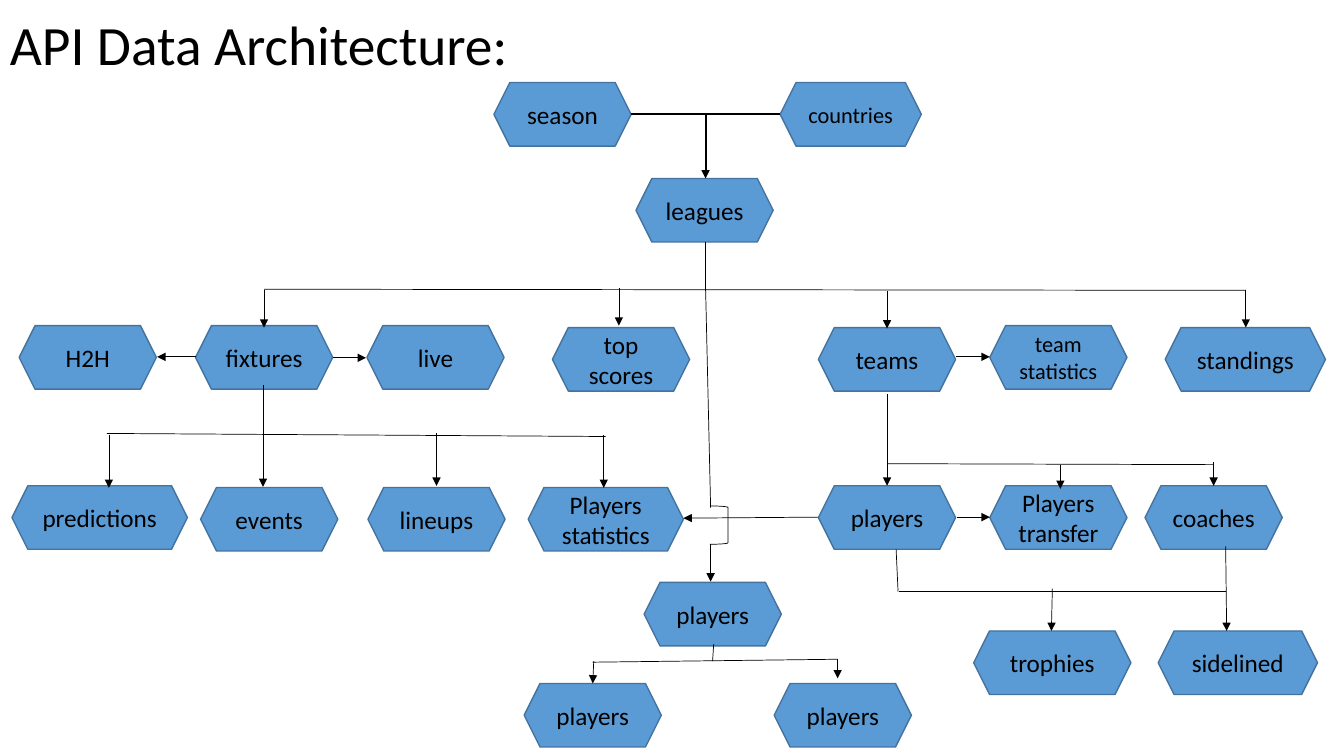
from dataclasses import dataclass

from lxml import etree
from pptx import Presentation
from pptx.dml.color import RGBColor
from pptx.enum.shapes import MSO_CONNECTOR, MSO_SHAPE
from pptx.enum.text import MSO_ANCHOR, PP_ALIGN
from pptx.oxml.ns import qn
from pptx.util import Pt

STRAIGHT = MSO_CONNECTOR.STRAIGHT
HEXAGON = MSO_SHAPE.HEXAGON
BRACKET = MSO_SHAPE.RIGHT_BRACKET
MIDDLE = MSO_ANCHOR.MIDDLE
CENTER = PP_ALIGN.CENTER


@dataclass(frozen=True)
class Theme:
    """Colours, type sizes and line widths of the slide."""
    font: str = "Calibri"
    ink: RGBColor = RGBColor(0, 0, 0)
    fill: RGBColor = RGBColor(0x5B, 0x9B, 0xD5)
    edge: RGBColor = RGBColor(0x43, 0x73, 0x9E)
    title: float = 39.6
    label: float = 18
    small: float = 16
    border: float = 1
    thin: float = 0.5
    bold: float = 1.5


THEME = Theme()
WIDTH = 98
HEIGHT = 45.4

ROWS = [
    (59, [("season", 352.8, WIDTH), ("countries", 557.3, 100.8)]),
    (127.5, [("leagues", 454.3, WIDTH)]),
    (232.6, [("H2H", 13.7, WIDTH), ("fixtures", 139.7, WIDTH),
             ("live", 262.1, WIDTH), ("team\nstatistics", 707, WIDTH)]),
    (234, [("top scores", 394.6, WIDTH), ("teams", 584.6, WIDTH),
           ("standings", 832.3, 114.5)]),
    (347, [("predictions", 8.6, 125.3), ("players", 584.6, WIDTH),
           ("Players\ntransfer", 707, WIDTH), ("coaches", 817.9, WIDTH)]),
    (348.2, [("events", 143.3, WIDTH), ("lineups", 262.8, WIDTH),
             ("Players statistics", 377.3, 110.9)]),
    (416, [("players", 460.1, WIDTH)]),
    (450.7, [("trophies", 695.5, 112.3), ("sidelined", 827.3, 113.8)]),
    (488.2, [("players", 374.4, WIDTH), ("players", 553, WIDTH)]),
]
SMALL = {"countries", "team\nstatistics"}

LINES = [
    (504, 172.8, 504, 208.1),
    (188.6, 206.6, 889.9, 207.4),
    (633.6, 331.2, 866.9, 331.9),
    (642.2, 422.6, 875.5, 422.6),
    (640.1, 392.4, 641.5, 422.6),
    (76.3, 309.6, 432.7, 311.8),
    (504, 205.9, 507.6, 362.9),
    (423.4, 473, 598.3, 470.9),
    (509.8, 460.1, 509, 472.3),
]
ARROWS = [
    (188.6, 207.4, 188.6, 234),
    (442.1, 205.9, 442.1, 232.6),
    (633.6, 208.1, 633.6, 234.7),
    (889.9, 207.4, 889.9, 234),
    (633.6, 281.5, 633.6, 347),
    (757.4, 331.9, 757.4, 349.2),
    (866.9, 329.8, 866.9, 347),
    (683.3, 369.4, 707, 369.4),
    (875.5, 390.2, 876.2, 450.7),
    (751.7, 420.5, 751, 450.7),
    (237.6, 255.6, 261.4, 255.6),
    (139.7, 254.9, 112.3, 254.9),
    (431.3, 311, 431.3, 348.5),
    (311.8, 309.6, 311.8, 347),
    (77.8, 311, 77.8, 348.5),
    (187.9, 275, 187.9, 347.8),
    (682.6, 254.9, 707, 254.9),
    (584.6, 369.4, 488.2, 370.1),
    (507.6, 388.8, 507.6, 415.4),
    (424.1, 472.3, 423.4, 488.2),
    (598.3, 470.9, 598.3, 484.6),
]


def style(frame, size):
    """Give all text in a frame its font, size and colour."""
    for para in frame.paragraphs:
        for run in para.runs:
            run.font.name = THEME.font
            run.font.size = Pt(size)
            run.font.color.rgb = THEME.ink


def add_title(slide, text):
    """Write the slide heading."""
    box = slide.shapes.add_textbox(Pt(0), Pt(7.9), Pt(424), Pt(51.8))
    frame = box.text_frame
    frame.word_wrap = True
    frame.vertical_anchor = MIDDLE
    frame.text = text
    frame.paragraphs[0].line_spacing = 0.9
    style(frame, THEME.title)


def add_node(slide, text, left, top, width):
    """Draw one labelled hexagon."""
    node = slide.shapes.add_shape(
        HEXAGON, Pt(left), Pt(top), Pt(width), Pt(HEIGHT))
    node.shadow.inherit = False
    node.fill.solid()
    node.fill.fore_color.rgb = THEME.fill
    node.line.color.rgb = THEME.edge
    node.line.width = Pt(THEME.border)
    frame = node.text_frame
    frame.vertical_anchor = MIDDLE
    frame.text = text
    for para in frame.paragraphs:
        para.alignment = CENTER
    style(frame, THEME.small if text in SMALL else THEME.label)


def add_line(slide, ends, width=THEME.thin, arrow=False):
    """Draw a straight line, with an arrowhead at its end on demand."""
    line = slide.shapes.add_connector(STRAIGHT, *map(Pt, ends))
    line.line.color.rgb = THEME.ink
    line.line.width = Pt(width)
    if arrow:
        stroke = line.line._get_or_add_ln()
        etree.SubElement(stroke, qn("a:tailEnd"), type="triangle")
    etree.SubElement(line._element.spPr, qn("a:effectLst"))


def add_bridge(slide):
    """Draw the bracket that carries one line over another."""
    bridge = slide.shapes.add_shape(
        BRACKET, Pt(507), Pt(361.4), Pt(13), Pt(27.4))
    bridge.shadow.inherit = False
    bridge.fill.background()
    bridge.line.color.rgb = THEME.ink
    bridge.line.width = Pt(THEME.thin)


def main():
    """Build the slide and save it."""
    deck = Presentation()
    deck.slide_width, deck.slide_height = Pt(960), Pt(540)
    slide = deck.slides.add_slide(deck.slide_layouts[6])
    add_title(slide, "API Data Architecture:")
    for top, nodes in ROWS:
        for text, left, width in nodes:
            add_node(slide, text, left, top, width)
    add_line(slide, (450.8, 81.7, 557.3, 81.7), THEME.bold)
    add_line(slide, (504, 81.7, 504, 127.5), THEME.bold, arrow=True)
    for ends in LINES:
        add_line(slide, ends)
    for ends in ARROWS:
        add_line(slide, ends, arrow=True)
    add_bridge(slide)
    deck.save("out.pptx")


if __name__ == "__main__":
    main()
